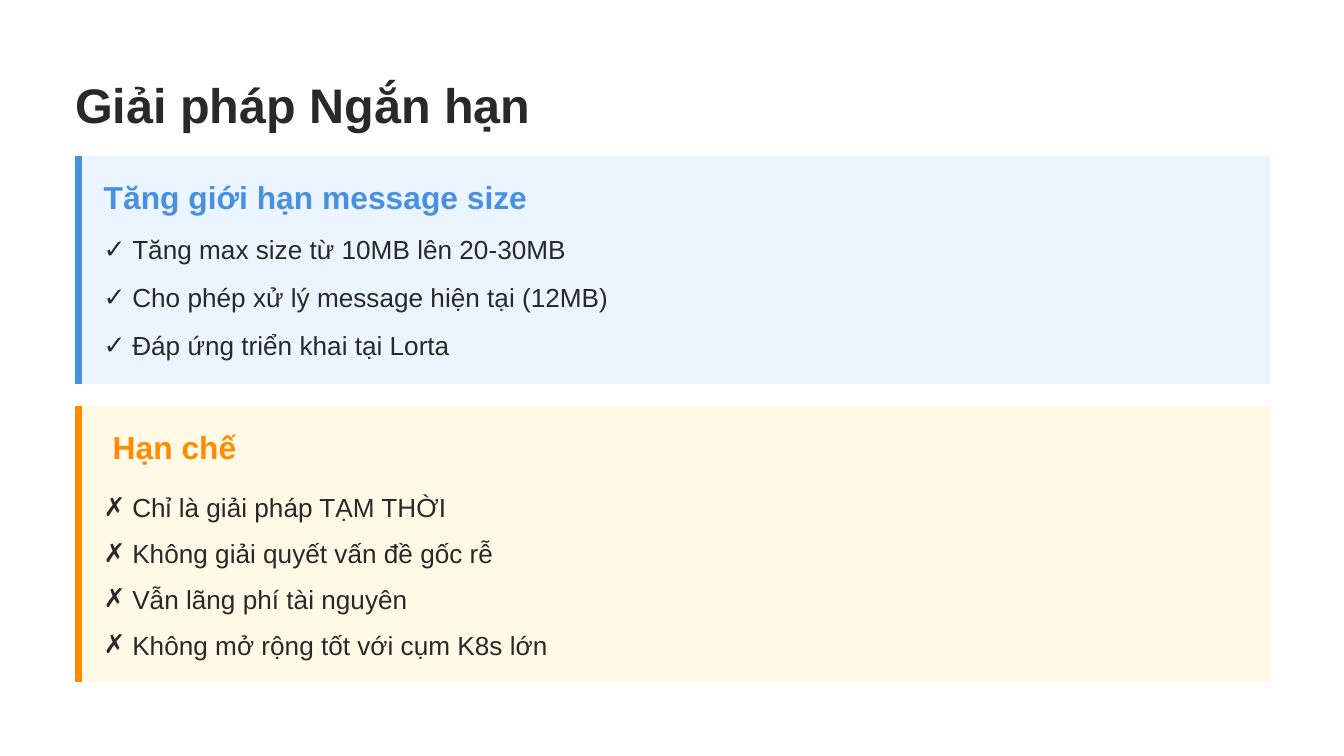
from dataclasses import dataclass

from lxml import etree
from pptx import Presentation
from pptx.dml.color import RGBColor
from pptx.enum.shapes import MSO_CONNECTOR, MSO_SHAPE
from pptx.enum.text import MSO_ANCHOR, MSO_AUTO_SIZE, PP_ALIGN
from pptx.oxml.ns import qn
from pptx.util import Cm, Pt

TOP = MSO_ANCHOR.TOP
NO_AUTOFIT = MSO_AUTO_SIZE.NONE
LEFT = PP_ALIGN.LEFT
RECTANGLE = MSO_SHAPE.RECTANGLE
STRAIGHT = MSO_CONNECTOR.STRAIGHT


@dataclass(frozen=True)
class Theme:
    font: str = "Arial"
    ink: str = "292929"
    blue: str = "4A90E2"
    pale_blue: str = "EBF5FF"
    orange: str = "FF8C00"
    pale_yellow: str = "FFF9E6"
    title_size: int = 26
    heading_size: int = 17
    item_size: int = 14
    item_leading: float = 19.6
    accent_width: float = 3.75


THEME = Theme()
PANEL_LEFT, PANEL_WIDTH = 1.42, 22.58
ACCENT_X = 1.48
TEXT_LEFT, TEXT_WIDTH = 1.96, 22.02
HEADING_OFFSET, HEADING_HEIGHT = 0.41, 0.8
BULLET_INDENT = 0.54

SECTIONS = [
    {
        "heading": "Tăng giới hạn message size",
        "items": [
            "Tăng max size từ 10MB lên 20-30MB",
            "Cho phép xử lý message hiện tại (12MB)",
            "Đáp ứng triển khai tại Lorta",
        ],
        "mark": "✓", "accent": THEME.blue, "fill": THEME.pale_blue,
        "top": 2.95, "height": 4.31,
        "heading_inset": 0, "list_offset": 1.37, "item_gap": 6,
    },
    {
        "heading": "Hạn chế",
        "items": [
            "Chỉ là giải pháp TẠM THỜI",
            "Không giải quyết vấn đề gốc rễ",
            "Vẫn lãng phí tài nguyên",
            "Không mở rộng tốt với cụm K8s lớn",
        ],
        "mark": "✗", "accent": THEME.orange, "fill": THEME.pale_yellow,
        "top": 7.67, "height": 5.23,
        "heading_inset": 0.17, "list_offset": 1.52, "item_gap": 5,
    },
]


def set_attributes(target, values):
    for name, value in values.items():
        setattr(target, name, value)


def place(placeholder, left, top, width, height):
    set_attributes(placeholder, {
        "left": Cm(left), "top": Cm(top),
        "width": Cm(width), "height": Cm(height),
    })
    set_attributes(placeholder.text_frame, {
        "margin_left": 0, "margin_top": 0, "margin_right": 0,
        "margin_bottom": 0, "word_wrap": True,
        "vertical_anchor": TOP, "auto_size": NO_AUTOFIT,
    })


def write(paragraph, text, size, color, bold=False):
    set_attributes(paragraph, {"alignment": LEFT, "space_before": Pt(0)})
    run = paragraph.add_run()
    run.text = text
    set_attributes(run.font, {"name": THEME.font, "size": Pt(size), "bold": bold})
    run.font.color.rgb = RGBColor.from_string(color)


def add_bullet(paragraph, mark):
    properties = paragraph._p.get_or_add_pPr()
    properties.set("marL", str(Cm(BULLET_INDENT)))
    properties.set("indent", str(-Cm(BULLET_INDENT)))
    etree.SubElement(properties, qn("a:buChar")).set("char", mark)


def add_panel(slide, section):
    top, height = section["top"], section["height"]
    panel = slide.shapes.add_shape(
        RECTANGLE, Cm(PANEL_LEFT), Cm(top), Cm(PANEL_WIDTH), Cm(height))
    panel.shadow.inherit = False
    panel.fill.solid()
    panel.fill.fore_color.rgb = RGBColor.from_string(section["fill"])
    panel.line.fill.background()
    slide.shapes._spTree.insert(2, panel._element)

    accent = slide.shapes.add_connector(
        STRAIGHT, Cm(ACCENT_X), Cm(top), Cm(ACCENT_X), Cm(top + height))
    accent.line.width = Pt(THEME.accent_width)
    accent.line.color.rgb = RGBColor.from_string(section["accent"])
    etree.SubElement(accent._element.spPr, qn("a:effectLst"))


def fill_title(title, text):
    place(title, PANEL_LEFT, 1.42, 23.04, 1.04)
    write(title.text_frame.paragraphs[0], text, THEME.title_size, THEME.ink, True)


def fill_heading(heading, section):
    place(heading, TEXT_LEFT, section["top"] + HEADING_OFFSET,
          TEXT_WIDTH, HEADING_HEIGHT)
    heading.text_frame.margin_left = Cm(section["heading_inset"])
    write(heading.text_frame.paragraphs[0], section["heading"],
          THEME.heading_size, section["accent"], True)


def fill_list(body, section):
    items, gap = section["items"], section["item_gap"]
    height = Pt(len(items) * (THEME.item_leading + gap) - gap).cm
    place(body, TEXT_LEFT, section["top"] + section["list_offset"],
          TEXT_WIDTH, height)
    frame = body.text_frame
    for index, item in enumerate(items):
        paragraph = frame.add_paragraph() if index else frame.paragraphs[0]
        add_bullet(paragraph, section["mark"])
        write(paragraph, item, THEME.item_size, THEME.ink)
        set_attributes(paragraph, {
            "line_spacing": Pt(THEME.item_leading),
            "space_after": Pt(gap if index < len(items) - 1 else 0),
        })


def main():
    presentation = Presentation()
    set_attributes(presentation, {"slide_width": Cm(25.4), "slide_height": Cm(14.29)})
    comparison = presentation.slide_layouts.get_by_name("Comparison")
    slide = presentation.slides.add_slide(comparison)
    title, *parts = slide.placeholders
    fill_title(title, "Giải pháp Ngắn hạn")
    for section, heading, body in zip(SECTIONS, parts[::2], parts[1::2]):
        add_panel(slide, section)
        fill_heading(heading, section)
        fill_list(body, section)
    presentation.save("out.pptx")


if __name__ == "__main__":
    main()
